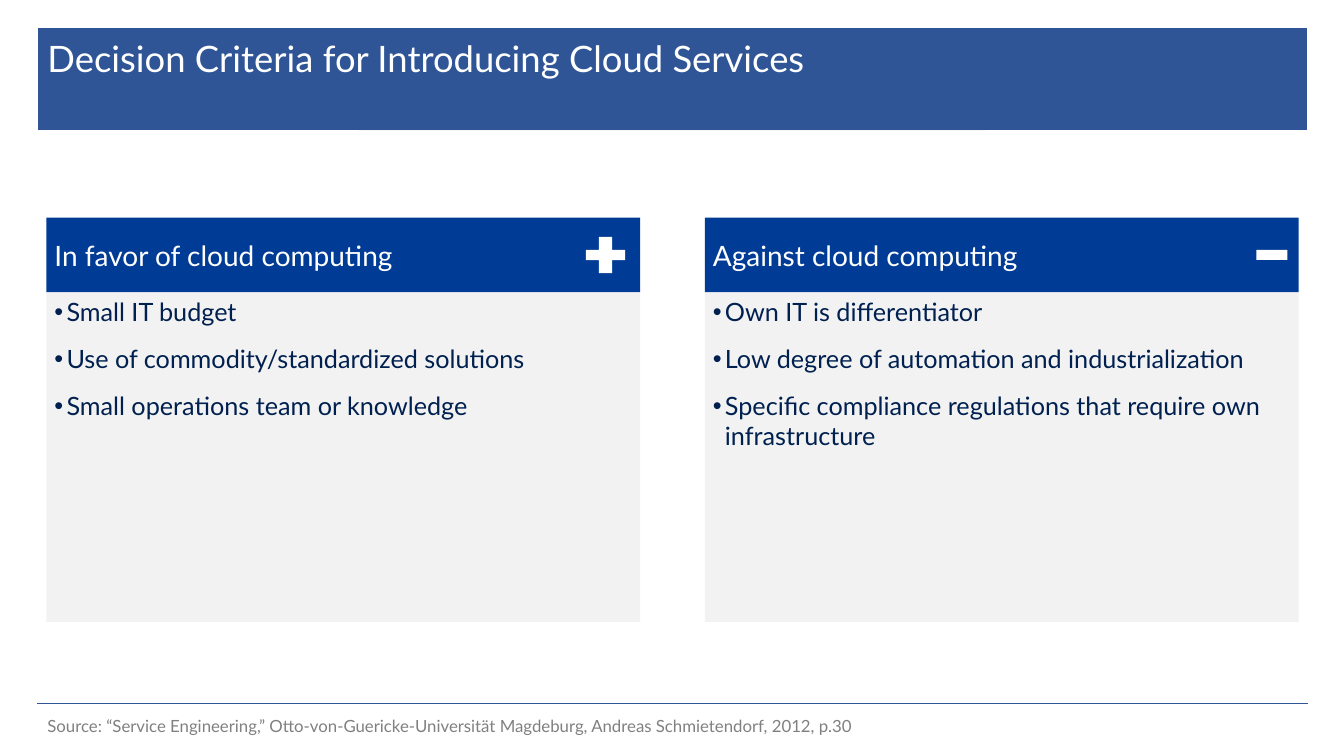
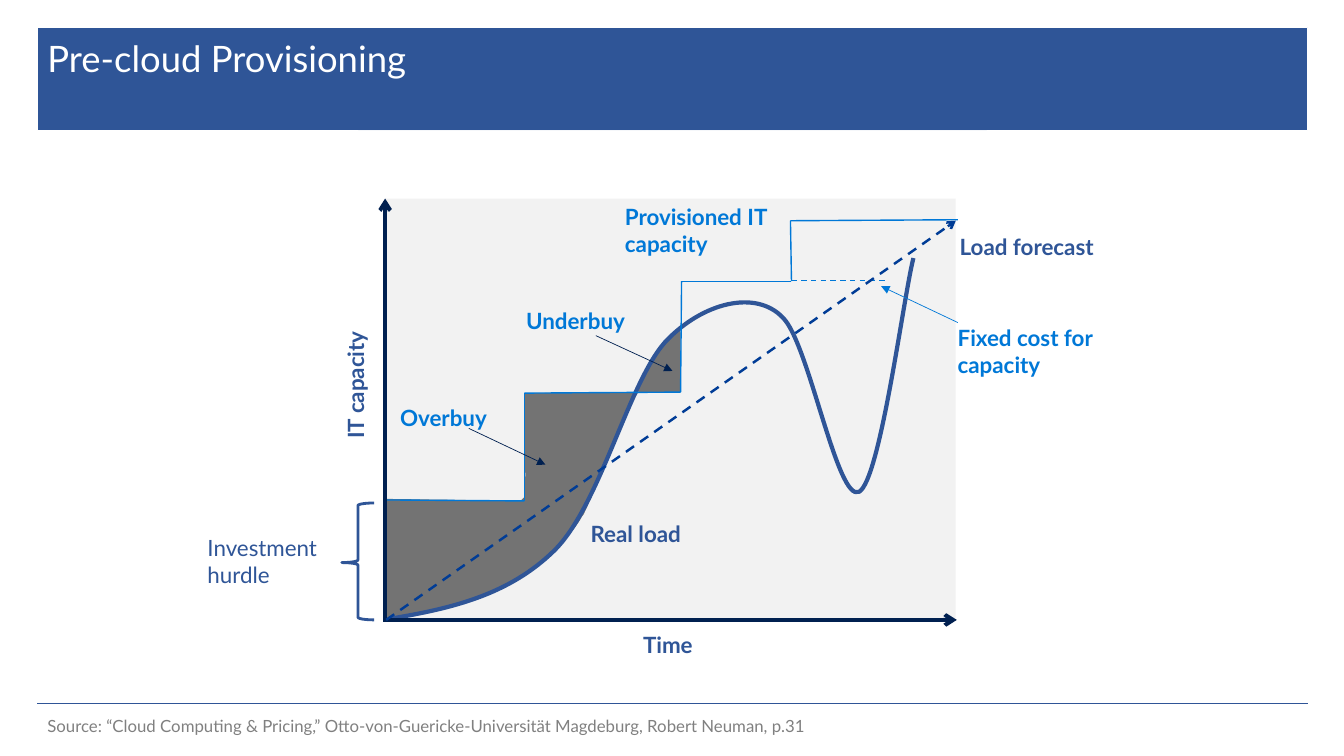
"""Build two slides on cloud decision criteria and pre-cloud provisioning."""
from itertools import chain, pairwise

from lxml.etree import SubElement
from pptx import Presentation
from pptx.dml.color import RGBColor
from pptx.enum.dml import MSO_LINE
from pptx.enum.shapes import MSO_CONNECTOR, MSO_SHAPE
from pptx.enum.text import MSO_ANCHOR, MSO_AUTO_SIZE, PP_ALIGN
from pptx.oxml.ns import qn
from pptx.util import Inches, Pt

COLORS = {
    "band": "2F5597",
    "heading": "003C96",
    "navy": "002050",
    "sky": "0078D7",
    "panel": "F2F2F2",
    "shade": "737373",
    "source": "808080",
    "white": "FFFFFF",
}
FONT = "Lato"
COMPARISON_LAYOUT = 4
CONTENT_LAYOUT = 1


def rgb(name):
    return RGBColor.from_string(COLORS[name])


def write_text(frame, lines, size=16, color="band", bold=False, bullet=False,
               anchor=MSO_ANCHOR.TOP, margins=(0.1, 0.05), gap=0):
    frame.word_wrap = True
    frame.auto_size = MSO_AUTO_SIZE.NONE
    frame.vertical_anchor = anchor
    frame.margin_left = frame.margin_right = Inches(margins[0])
    frame.margin_top = frame.margin_bottom = Inches(margins[1])
    for index, line in enumerate(lines):
        paragraph = frame.add_paragraph() if index else frame.paragraphs[0]
        paragraph.alignment = PP_ALIGN.LEFT
        paragraph.space_before = Pt(gap if index else 0)
        paragraph.space_after = Pt(gap)
        properties = paragraph._p.get_or_add_pPr()
        indent = Inches(0.12) if bullet else 0
        properties.set("marL", str(indent))
        properties.set("indent", str(-indent))
        if bullet:
            SubElement(properties, qn("a:buChar"), char="•")
        else:
            SubElement(properties, qn("a:buNone"))
        run = paragraph.add_run()
        run.text = line
        run.font.name = FONT
        run.font.size = Pt(size)
        run.font.bold = bold
        run.font.color.rgb = rgb(color)


class Deck:
    def __init__(self):
        self.presentation = Presentation()
        self.presentation.slide_width = Inches(13.33)
        self.presentation.slide_height = Inches(7.5)
        self.slide = None

    def start_slide(self, layout, title, source):
        slides = self.presentation.slides
        self.slide = slides.add_slide(self.presentation.slide_layouts[layout])
        if len(slides) == 1:
            self.build_master()
        self.placeholder(0, (0.37, 0.31, 11.06, 0.95), [title], size=26, color="white")
        self.placeholder(1, (0.37, 6.97, 11.22, 0.47), [source], size=12,
                         color="source", anchor=MSO_ANCHOR.MIDDLE)

    def build_master(self):
        band = self.shape(MSO_SHAPE.RECTANGLE, (0.37, 0.27, 12.6, 1.02), fill="band",
                          line="white", width=0.25)
        rule = self.line((0.37, 6.98), (12.97, 6.98), "band", 0.5)
        tree = self.presentation.slide_master.shapes._spTree
        for shape in (rule, band):
            tree.insert(2, shape._element)

    def placeholder(self, index, box, lines, fill=None, **text_format):
        shape = self.slide.placeholders[index]
        shape.left, shape.top, shape.width, shape.height = map(Inches, box)
        if fill:
            self.paint(shape, fill)
        write_text(shape.text_frame, lines, **text_format)

    def drop_placeholder(self, index):
        element = self.slide.placeholders[index]._element
        element.getparent().remove(element)

    def paint(self, shape, fill=None, line=None, width=1):
        if fill:
            shape.fill.solid()
            shape.fill.fore_color.rgb = rgb(fill)
        else:
            shape.fill.background()
        if line:
            shape.line.color.rgb = rgb(line)
            shape.line.width = Pt(width)
        else:
            shape.line.fill.background()

    def shape(self, kind, box, adjustments=(), **style):
        shape = self.slide.shapes.add_shape(kind, *map(Inches, box))
        shape.shadow.inherit = False
        for index, value in enumerate(adjustments):
            shape.adjustments[index] = value
        self.paint(shape, **style)
        return shape

    def outline(self, start, segments, close=True, **style):
        builder = self.slide.shapes.build_freeform(*map(Inches, start))
        builder.add_line_segments(
            [(Inches(x), Inches(y)) for x, y in chain(*segments)], close=close)
        shape = builder.convert_to_shape()
        shape.shadow.inherit = False
        self.paint(shape, **style)
        steps = iter(list(shape._element.iter(qn("a:lnTo"))))
        for segment in segments:
            first, *others = [next(steps) for _ in segment]
            if others:
                first.tag = qn("a:cubicBezTo")
                for step in others:
                    first.append(step[0])
                    step.getparent().remove(step)

    def line(self, start, end, color, width, arrow=None, dashed=False):
        connector = self.slide.shapes.add_connector(
            MSO_CONNECTOR.STRAIGHT, *map(Inches, (*start, *end)))
        connector.line.color.rgb = rgb(color)
        connector.line.width = Pt(width)
        if dashed:
            connector.line.dash_style = MSO_LINE.DASH
        properties = connector._element.spPr
        if arrow:
            SubElement(properties.find(qn("a:ln")), qn("a:tailEnd"), type=arrow)
        SubElement(properties, qn("a:effectLst"))
        return connector

    def label(self, box, *lines, rotation=0, **text_format):
        text_box = self.slide.shapes.add_textbox(*map(Inches, box))
        text_box.rotation = rotation
        write_text(text_box.text_frame, lines, **text_format)


def build_criteria(deck):
    deck.start_slide(
        COMPARISON_LAYOUT, "Decision Criteria for Introducing Cloud Services",
        "Source: “Service Engineering,” Otto-von-Guericke-Universität Magdeburg, "
        "Andreas Schmietendorf, 2012, p.30")
    deck.drop_placeholder(3)
    columns = (
        (0.46, 2, "In favor of cloud computing", (
            "Small IT budget",
            "Use of commodity/standardized solutions",
            "Small operations team or knowledge")),
        (6.99, 4, "Against cloud computing", (
            "Own IT is differentiator",
            "Low degree of automation and industrialization",
            "Specific compliance regulations that require own infrastructure")),
    )
    margins = (0.08, 0.04)
    for left, index, heading, criteria in columns:
        header = deck.shape(MSO_SHAPE.RECTANGLE, (left, 2.16, 5.89, 0.74), fill="heading")
        write_text(header.text_frame, [heading], size=20, color="white",
                   anchor=MSO_ANCHOR.MIDDLE, margins=margins)
        deck.placeholder(index, (left, 2.9, 5.89, 3.27), criteria, fill="panel", size=18,
                         color="navy", bullet=True, margins=margins, gap=6)
    deck.shape(MSO_SHAPE.CROSS, (5.81, 2.35, 0.39, 0.36), (0.36,), fill="white")
    deck.shape(MSO_SHAPE.RECTANGLE, (12.46, 2.48, 0.31, 0.1), fill="white")


def build_provisioning(deck):
    deck.start_slide(
        CONTENT_LAYOUT, "Pre-cloud Provisioning",
        "Source: “Cloud Computing & Pricing,” Otto-von-Guericke-Universität Magdeburg, "
        "Robert Neuman, p.31")
    deck.shape(MSO_SHAPE.RECTANGLE, (3.82, 1.97, 5.66, 4.17), fill="panel")

    shades = (
        ((3.86, 6.16), [
            ((3.99, 6.13), (4.45, 6.03), (4.69, 5.96)),
            ((4.92, 5.88), (5.1, 5.77), (5.25, 5.68)),
            ((5.39, 5.59), (5.48, 5.5), (5.56, 5.4)),
            ((5.65, 5.31), (5.74, 5.19), (5.77, 5.13)),
            ((5.81, 5.07), (5.76, 5.16), (5.82, 5.04)),
            ((5.87, 4.92), (6.02, 4.58), (6.09, 4.41)),
            ((6.16, 4.24), (6.21, 4.11), (6.25, 4.03)),
            ((6.29, 3.95), (6.31, 3.92), (6.33, 3.9))]),
        ((3.84, 6.15), [
            ((3.84, 5.51),), ((3.84, 4.95),), ((5.27, 4.97),),
            ((4.87, 5.3), (4.49, 5.68), (4.09, 6.01))]),
        ((6.35, 3.89), [
            ((6.28, 3.88), (6.33, 3.84), (6.34, 3.81)),
            ((6.34, 3.79), (6.39, 3.69), (6.43, 3.64)),
            ((6.46, 3.59), (6.49, 3.55), (6.53, 3.49)),
            ((6.57, 3.43), (6.61, 3.39), (6.63, 3.36)),
            ((6.65, 3.33), (6.67, 3.32), (6.69, 3.31)),
            ((6.71, 3.3), (6.73, 3.2), (6.75, 3.3)),
            ((6.75, 3.89),)]),
        ((5.2, 3.9), [
            ((5.57, 3.9), (5.95, 3.89), (6.32, 3.9)),
            ((6.26, 3.96), (6.21, 4.03), (6.16, 4.08)),
            ((5.2, 4.95),), ((5.21, 4.72),)]),
    )
    for start, segments in shades:
        deck.outline(start, segments, fill="shade")

    deck.outline((3.86, 6.14), [
        ((4.46, 6.04), (5.05, 5.91), (5.51, 5.45)),
        ((5.97, 4.98), (6.25, 3.73), (6.63, 3.36)),
        ((7.01, 2.98), (7.54, 2.87), (7.79, 3.18)),
        ((8.04, 3.5), (8.31, 4.98), (8.52, 4.88)),
        ((8.73, 4.77), (8.96, 2.95), (9.06, 2.56)),
    ], close=False, line="band", width=3)

    origin = (3.83, 6.15)
    capacity = [(3.83, 4.96), (5.2, 4.97), (5.2, 3.9), (6.75, 3.89), (6.76, 2.79),
                (7.85, 2.79), (7.84, 2.19), (9.5, 2.18)]
    for start, end in pairwise(capacity):
        deck.line(start, end, "sky", 1)
    deck.line((7.85, 2.78), (8.81, 2.78), "sky", 1, dashed=True)
    deck.line((3.82, 6.17), (3.82, 1.97), "navy", 2.75, arrow="arrow")
    deck.line(origin, (9.49, 6.15), "navy", 2.75, arrow="arrow")
    deck.line(origin, (9.48, 2.19), "heading", 1.75, arrow="arrow", dashed=True)

    pointers = (
        ((4.65, 4.25), (5.41, 4.61), "navy"),
        ((5.91, 3.33), (6.67, 3.68), "navy"),
        ((9.5, 3.2), (8.74, 2.84), "sky"),
    )
    for start, end, color in pointers:
        deck.line(start, end, color, 0.5, arrow="triangle")

    deck.label((6.1, 1.97, 1.7, 0.64), "Provisioned IT", "capacity", color="sky", bold=True)
    deck.label((3.87, 3.96, 1.14, 0.37), "Overbuy", color="sky", bold=True)
    deck.label((5.12, 3, 1.3, 0.37), "Underbuy", color="sky", bold=True)
    deck.label((9.4, 3.17, 1.66, 0.64), "Fixed cost for capacity", color="sky", bold=True)
    deck.label((5.76, 5.11, 1.56, 0.37), "Real load", bold=True)
    deck.label((9.42, 2.26, 1.98, 0.37), "Load forecast", bold=True)
    deck.label((6.28, 6.21, 0.89, 0.37), "Time", bold=True)
    deck.label((2.81, 3.55, 1.43, 0.37), "IT capacity", bold=True, rotation=270)
    deck.label((1.96, 5.25, 1.34, 0.64), "Investment hurdle")
    deck.shape(MSO_SHAPE.LEFT_BRACE, (3.39, 4.99, 0.32, 1.16), (0.08, 0.51),
               line="band", width=2)


def main():
    deck = Deck()
    build_criteria(deck)
    build_provisioning(deck)
    deck.presentation.save("out.pptx")


if __name__ == "__main__":
    main()
